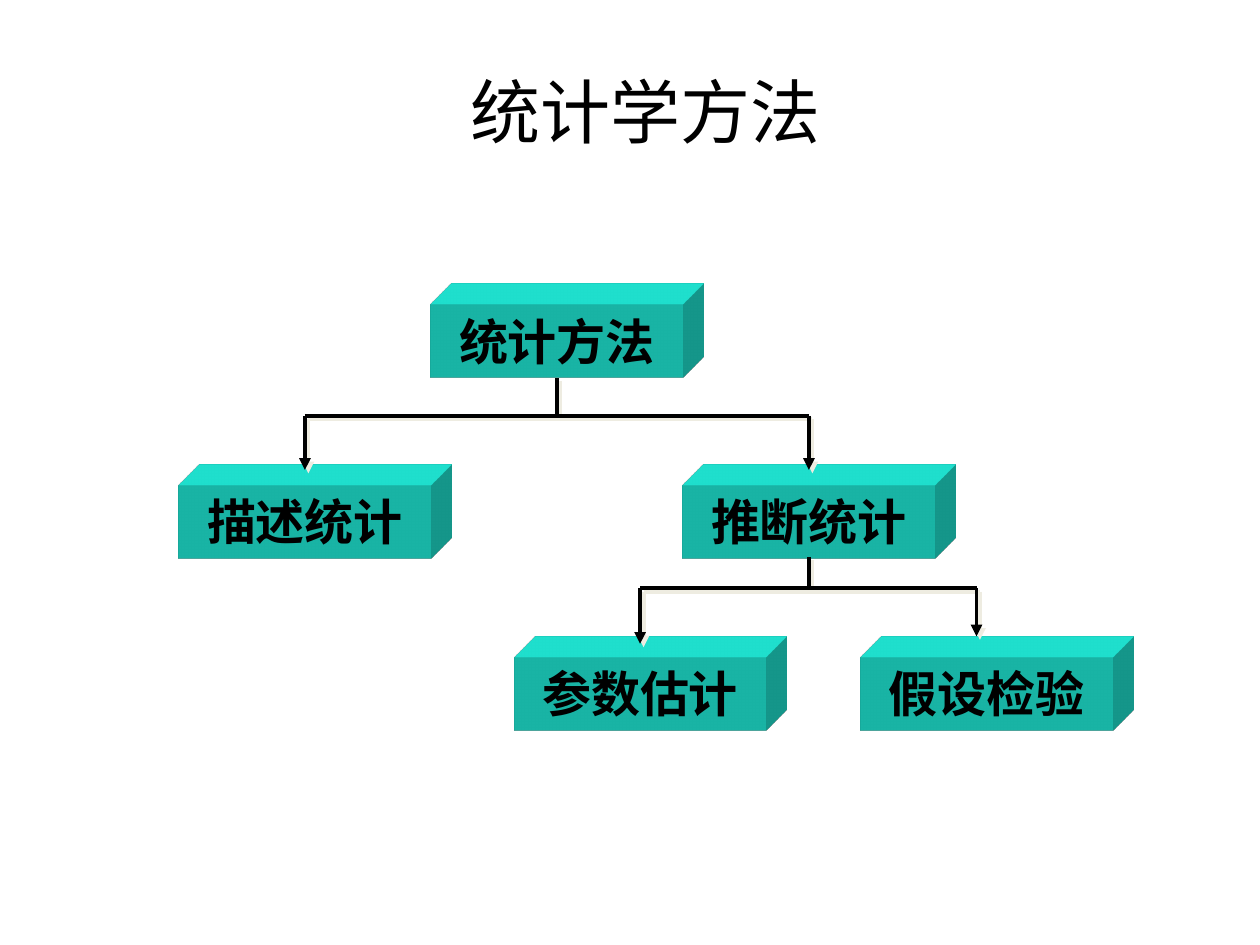
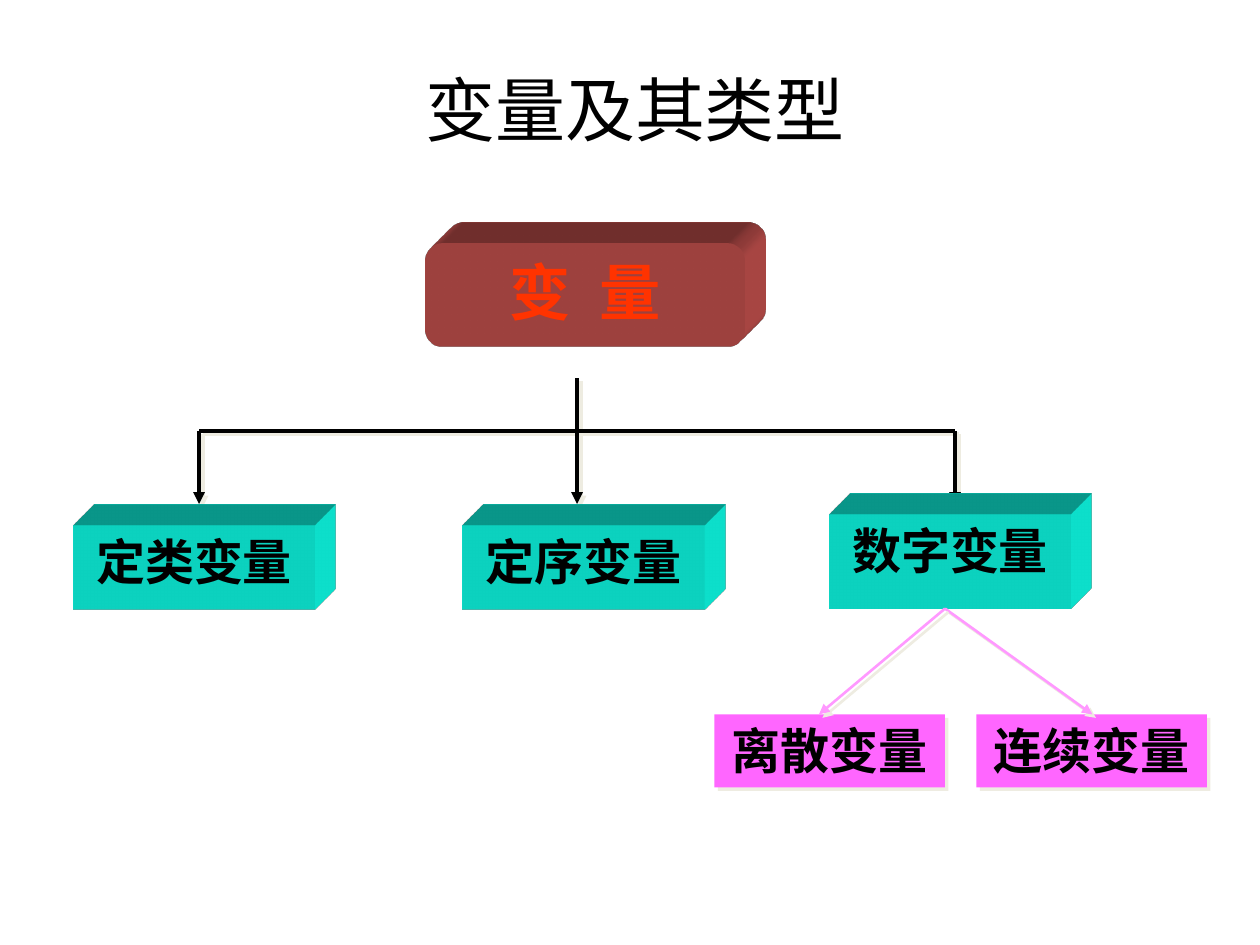
from lxml.etree import SubElement
from pptx import Presentation
from pptx.dml.color import RGBColor
from pptx.enum.shapes import MSO_CONNECTOR, MSO_SHAPE
from pptx.enum.text import MSO_ANCHOR, PP_ALIGN
from pptx.oxml import parse_xml
from pptx.oxml.ns import nsdecls, qn
from pptx.util import Inches, Pt

BLACK = RGBColor(0x00, 0x00, 0x00)
TURQUOISE = RGBColor(0x23, 0xFF, 0xEA)
AQUA = RGBColor(0x0F, 0xFF, 0xE8)
BRICK = RGBColor(0xC0, 0x50, 0x4D)
SCARLET = RGBColor(0xFF, 0x33, 0x00)
PINK = RGBColor(0xFF, 0x66, 0xFF)
LIGHT_PINK = RGBColor(0xFF, 0x99, 0xFF)
SHADOW = RGBColor(0xEE, 0xEC, 0xE1)

METHODS = {
    "title": ("统计学方法", (1.5, 0.25, 7.25, 1.25)),
    "boxes": [
        ("统计方法", 3.42, 2.42),
        ("描述统计", 1.42, 3.85),
        ("推断统计", 5.42, 3.85),
        ("参数估计", 4.08, 5.22),
        ("假设检验", 6.83, 5.22),
    ],
    "branches": [
        (4.42, 3, 3.3, [(2.42, 3.73), (6.42, 3.73)]),
        (6.42, 4.42, 4.67, [(5.08, 5.11), (7.75, 5.05)]),
    ],
}
VARIABLES = {
    "title": ("变量及其类型", (1.25, 0.25, 7.58, 1.23)),
    "root": ("变  量", (3.38, 1.93, 2.53, 0.82)),
    "branch": (4.58, 3, 3.42, [(1.58, 4), (4.58, 4), (7.58, 4)]),
    "types": [
        ("定类变量", 0.58, 4.17, 0.67),
        ("定序变量", 3.67, 4.17, 0.67),
        ("数字变量", 6.58, 4.08, 0.75),
    ],
    "number_kinds": [("离散变量", 5.67), ("连续变量", 7.75)],
    "fork": ((7.5, 4.83), [(8.67, 5.67), (6.5, 5.67)]),
}

METHOD_SIZE = (2, 0.58)
TYPE_WIDTH = 1.92
KIND_TOP, KIND_SIZE = 5.67, (1.83, 0.58)


def write(shape, text, size, font, color=BLACK, bold=True, anchor=MSO_ANCHOR.TOP):
    frame = shape.text_frame
    frame.text = text
    frame.word_wrap = True
    frame.vertical_anchor = anchor
    paragraph = frame.paragraphs[0]
    paragraph.alignment = PP_ALIGN.CENTER
    run_font = paragraph.runs[0].font
    run_font.size, run_font.name, run_font.bold = Pt(size), font, bold
    run_font.color.rgb = color


def add_title(slide, text, place):
    box = slide.shapes.add_textbox(*map(Inches, place))
    write(box, text, 40, "Calibri", bold=False, anchor=MSO_ANCHOR.MIDDLE)


def add_box(slide, place, fill, preset=MSO_SHAPE.RECTANGLE):
    shape = slide.shapes.add_shape(preset, *map(Inches, place))
    shape.shadow.inherit = False
    shape.fill.solid()
    shape.fill.fore_color.rgb = fill
    shape.line.fill.background()
    return shape


def extrude(shape, color, rig, direction):
    properties = shape._element.spPr
    properties.append(parse_xml(
        f'<a:scene3d {nsdecls("a")}><a:camera prst="legacyObliqueTopRight"/>'
        f'<a:lightRig rig="{rig}" dir="{direction}"/></a:scene3d>'))
    properties.append(parse_xml(
        f'<a:sp3d {nsdecls("a")} extrusionH="430200" prstMaterial="legacyMatte">'
        '<a:bevelT w="13500" h="13500" prst="angle"/>'
        '<a:bevelB w="13500" h="13500" prst="angle"/>'
        f'<a:extrusionClr><a:srgbClr val="{color}"/></a:extrusionClr></a:sp3d>'))


def cast_shadow(shape):
    properties = shape._element.spPr
    for effects in properties.findall(qn("a:effectLst")):
        properties.remove(effects)
    effects = SubElement(properties, qn("a:effectLst"))
    shadow = SubElement(effects, qn("a:outerShdw"), dist=str(Pt(2.8)),
                        dir="2700000", algn="ctr", rotWithShape="0")
    SubElement(shadow, qn("a:srgbClr"), val=str(SHADOW))


def add_line(slide, start, end, color=BLACK, width=2.25, arrow=False):
    connector = slide.shapes.add_connector(
        MSO_CONNECTOR.STRAIGHT, *map(Inches, (*start, *end)))
    connector.line.color.rgb = color
    connector.line.width = Pt(width)
    if arrow:
        SubElement(connector.line._get_or_add_ln(), qn("a:tailEnd"), type="triangle")
    cast_shadow(connector)


def add_branch(slide, stem, top, bar, tips):
    add_line(slide, (stem, top), (stem, bar))
    add_line(slide, (tips[0][0], bar), (tips[-1][0], bar))
    for x, bottom in tips:
        add_line(slide, (x, bar), (x, bottom), arrow=True)


def build_methods(slide):
    add_title(slide, *METHODS["title"])
    for text, left, top in METHODS["boxes"]:
        box = add_box(slide, (left, top, *METHOD_SIZE), TURQUOISE)
        extrude(box, TURQUOISE, "legacyFlat3", "r")
        write(box, text, 28, "Arial")
    for branch in METHODS["branches"]:
        add_branch(slide, *branch)


def build_variables(slide):
    add_title(slide, *VARIABLES["title"])
    text, place = VARIABLES["root"]
    root = add_box(slide, place, BRICK, MSO_SHAPE.ROUNDED_RECTANGLE)
    extrude(root, BRICK, "legacyFlat3", "t")
    write(root, text, 35, "Calibri", SCARLET)
    add_branch(slide, *VARIABLES["branch"])
    for text, left, top, height in VARIABLES["types"]:
        box = add_box(slide, (left, top, TYPE_WIDTH, height), AQUA)
        extrude(box, AQUA, "legacyFlat3", "t")
        write(box, text, 28, "Times New Roman")
    for text, left in VARIABLES["number_kinds"]:
        box = add_box(slide, (left, KIND_TOP, *KIND_SIZE), PINK)
        cast_shadow(box)
        write(box, text, 28, "Times New Roman")
    start, tips = VARIABLES["fork"]
    for tip in tips:
        add_line(slide, start, tip, LIGHT_PINK, 1.5, arrow=True)


presentation = Presentation()
presentation.slide_width, presentation.slide_height = Inches(10), Inches(7.5)
for build in (build_methods, build_variables):
    build(presentation.slides.add_slide(presentation.slide_layouts[6]))
presentation.save("out.pptx")
